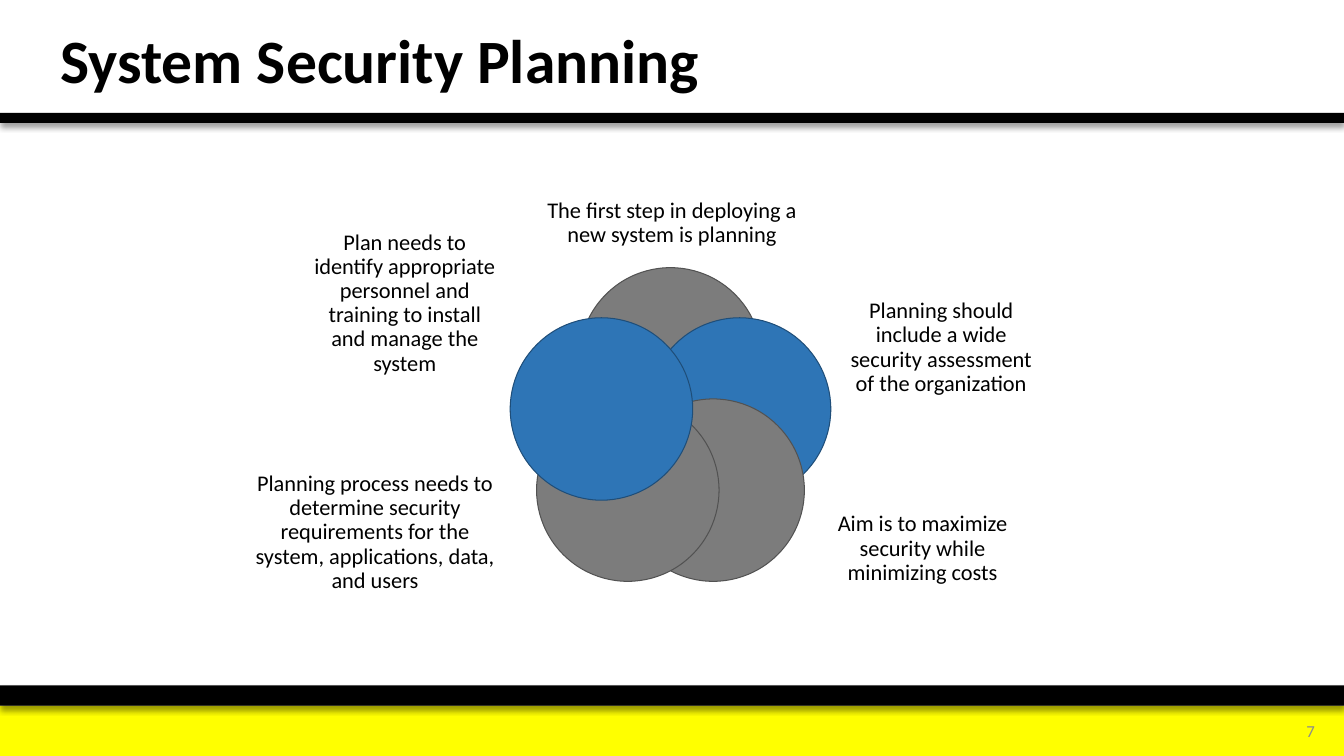
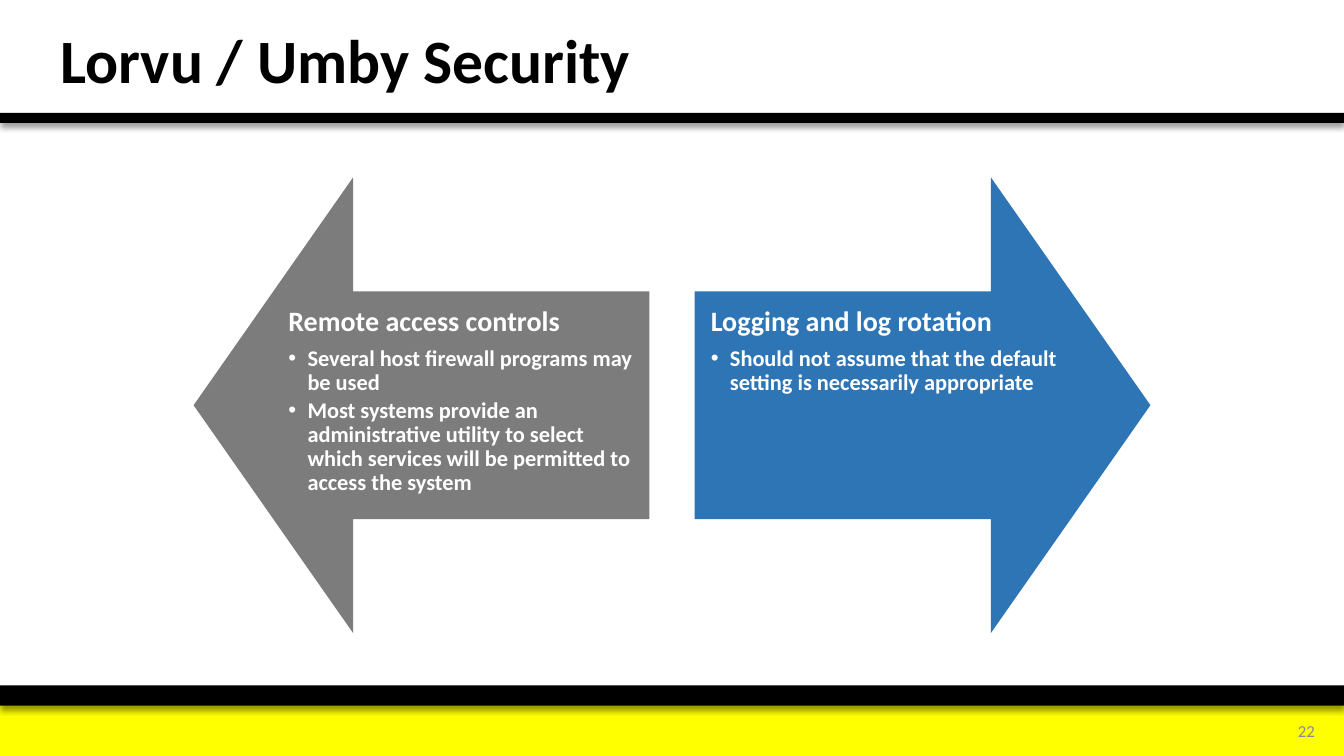
"""Build two slides on system security planning."""
import math
import lxml.etree
import pptx
import pptx.dml.color
import pptx.enum.shapes
import pptx.enum.text
import pptx.oxml.ns
import pptx.util

Inches = pptx.util.Inches
Pt = pptx.util.Pt
RGB = pptx.dml.color.RGBColor
SHAPE = pptx.enum.shapes.MSO_SHAPE
ALIGN = pptx.enum.text.PP_ALIGN
ANCHOR = pptx.enum.text.MSO_ANCHOR
qn = pptx.oxml.ns.qn

BLACK = RGB(0x00, 0x00, 0x00)
WHITE = RGB(0xFF, 0xFF, 0xFF)
YELLOW = RGB(0xFF, 0xFF, 0x00)
GRAY = RGB(0x7C, 0x7C, 0x7C)
BLUE = RGB(0x2E, 0x75, 0xB6)
SLATE = RGB(0x52, 0x52, 0x52)
NAVY = RGB(0x1F, 0x4E, 0x79)
PALE = RGB(0x8C, 0x8C, 0x8C)
FONT = "Calibri"
WIDTH, HEIGHT = 13.33, 7.5

HUB = (6.65, 4.28)
ORBIT, SIZE = 0.72, 1.81
PETALS = [
    ("The first step in deploying a new system is planning",
     (5.38, 1.61, 2.57, 1.21), GRAY, SLATE),
    ("Planning should include a wide security assessment of the organization",
     (8.38, 2.45, 1.91, 2), BLUE, NAVY),
    ("Aim is to maximize security while minimizing costs",
     (8.21, 4.61, 1.88, 1.67), GRAY, SLATE),
    ("Planning process needs to determine security requirements for the "
     "system, applications, data, and users",
     (2.5, 4.11, 2.44, 2.35), GRAY, SLATE),
    ("Plan needs to identify appropriate personnel and training to install "
     "and manage the system",
     (3.08, 2.16, 1.87, 1.7), BLUE, NAVY),
]
ARROWS = [
    (1.92, 270, GRAY, 2.7, "Remote access controls",
     ["Several host firewall programs may be used",
      "Most systems provide an administrative utility to select which "
      "services will be permitted to access the system"]),
    (6.89, 90, BLUE, 6.89, "Logging and log rotation",
     ["Should not assume that the default setting is necessarily "
      "appropriate"]),
]


def add_form(slide, kind, box, fill, line=None):
    """Add a filled preset shape, outlined only when a line colour is given."""
    form = slide.shapes.add_shape(kind, *map(Inches, box))
    form.shadow.inherit = False
    form.fill.solid()
    form.fill.fore_color.rgb = fill
    if line is None:
        form.line.fill.background()
    else:
        form.line.color.rgb = line
        form.line.width = Pt(0.75)
    return form


def cast_shade(form):
    """Give a shape a soft shadow below it."""
    effects = form.element.spPr.find(qn("a:effectLst"))
    shade = lxml.etree.SubElement(
        effects, qn("a:outerShdw"), blurRad=str(Pt(4)), dist=str(Pt(3)),
        dir="5400000", algn="t", rotWithShape="0")
    tint = lxml.etree.SubElement(shade, qn("a:srgbClr"), val=str(BLACK))
    lxml.etree.SubElement(tint, qn("a:alpha"), val="40000")


def add_frame(slide, box, inset=None, anchor=ANCHOR.MIDDLE):
    """Add an empty wrapping text box and return its frame."""
    frame = slide.shapes.add_textbox(*map(Inches, box)).text_frame
    frame.word_wrap = True
    frame.vertical_anchor = anchor
    if inset is not None:
        frame.margin_left = frame.margin_right = Inches(inset)
        frame.margin_top = frame.margin_bottom = Inches(inset)
    return frame


def write(para, text, size, color, bold=False, align=ALIGN.LEFT, after=0):
    """Write one styled run into a paragraph."""
    para.alignment = align
    para.line_spacing = 0.9
    para.space_after = Pt(after)
    run = para.add_run()
    run.text = text
    run.font.name = FONT
    run.font.size = Pt(size)
    run.font.bold = bold
    run.font.color.rgb = color


def add_bullet(para):
    """Give a paragraph a hanging round bullet."""
    props = para._p.get_or_add_pPr()
    props.set("marL", str(Inches(0.19)))
    props.set("indent", str(-Inches(0.19)))
    lxml.etree.SubElement(props, qn("a:buFont"), typeface="Arial")
    lxml.etree.SubElement(props, qn("a:buChar"), char="•")


def add_page(deck, title, number):
    """Add a slide with its bands, title and number."""
    slide = deck.slides.add_slide(deck.slide_layouts[6])
    add_form(slide, SHAPE.RECTANGLE, (0, 7, WIDTH, 0.5), YELLOW)
    for top, depth in ((6.8, 0.2), (1.12, 0.1)):
        cast_shade(add_form(slide, SHAPE.RECTANGLE,
                            (0, top, WIDTH, depth), BLACK))
    frame = add_frame(slide, (12.38, 7.06, 0.76, 0.4))
    write(frame.paragraphs[0], str(number), 12, PALE, align=ALIGN.RIGHT)
    frame = add_frame(slide, (0.5, 0.07, 10.47, 1.12))
    write(frame.paragraphs[0], title, 44, BLACK, bold=True)
    return slide


def add_petals(slide):
    """Place overlapping circles around a hub, each with its label."""
    for index, (text, box, fill, line) in enumerate(PETALS):
        angle = math.tau * index / len(PETALS)
        left = HUB[0] + ORBIT * math.sin(angle) - SIZE / 2
        top = HUB[1] - ORBIT * math.cos(angle) - SIZE / 2
        add_form(slide, SHAPE.OVAL, (left, top, SIZE, SIZE), fill, line)
        frame = add_frame(slide, box, inset=0)
        write(frame.paragraphs[0], text, 16, BLACK, align=ALIGN.CENTER)


def add_arrow(slide, left, turn, fill, start, head, points):
    """Add a turned block arrow with a heading and bullets."""
    arrow = add_form(slide, SHAPE.UP_ARROW, (left, 1.76, 4.52, 4.52), fill)
    arrow.rotation = turn
    arrow.adjustments[0] = 0.5
    arrow.adjustments[1] = 0.35
    frame = add_frame(slide, (start, 2.89, 3.75, 2.26), 0.16, ANCHOR.TOP)
    write(frame.paragraphs[0], head, 20, WHITE, bold=True, after=7)
    for point in points:
        para = frame.add_paragraph()
        write(para, point, 16, WHITE, bold=True, after=2.4)
        add_bullet(para)


def main():
    """Build and save the deck."""
    deck = pptx.Presentation()
    deck.slide_width = Inches(WIDTH)
    deck.slide_height = Inches(HEIGHT)
    add_petals(add_page(deck, "System Security Planning", 7))
    slide = add_page(deck, "Lorvu / Umby Security", 22)
    for arrow in ARROWS:
        add_arrow(slide, *arrow)
    deck.save("out.pptx")


if __name__ == "__main__":
    main()
